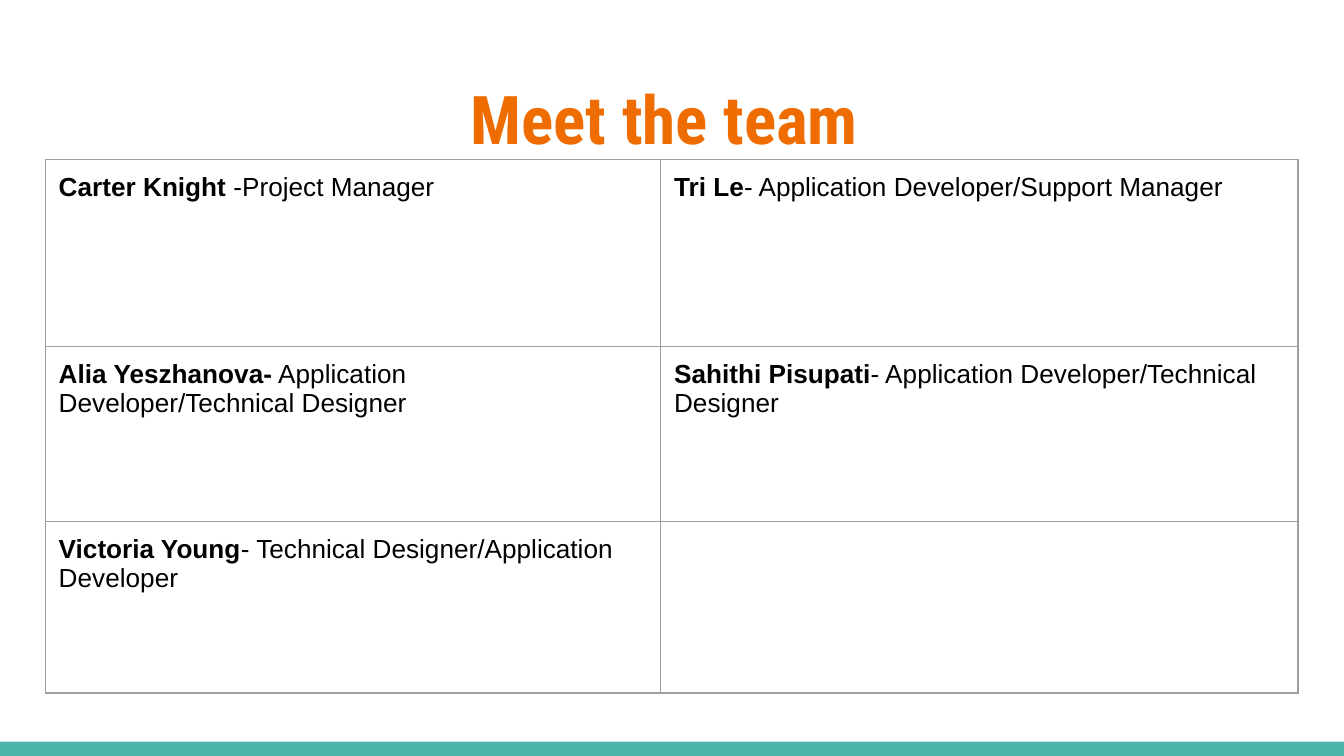
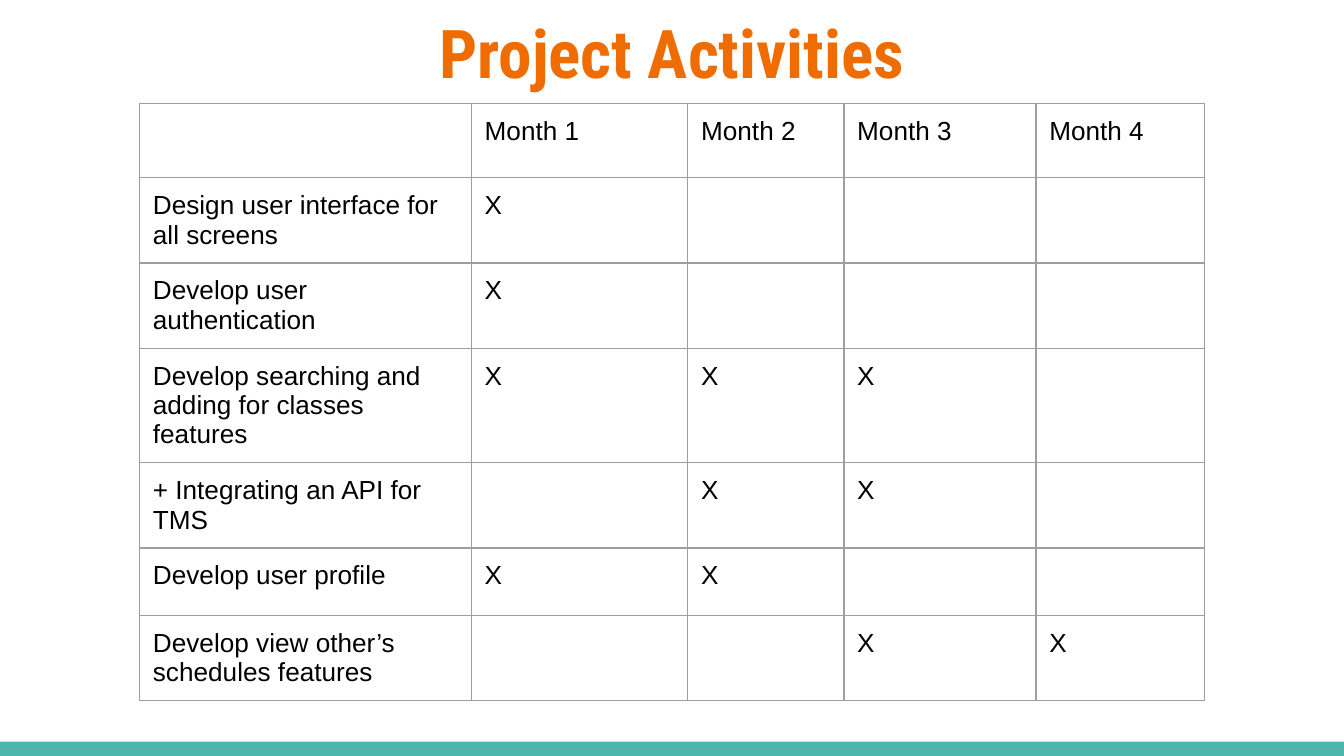
from lxml import etree
from pptx import Presentation
from pptx import util as u
from pptx.dml.color import RGBColor
from pptx.enum import shapes, text
from pptx.oxml.ns import qn

COLORS = {"title": "EF6C00", "band": "4DB6AC", "border": "9E9E9E", "text": "000000"}
WIDTH, HEIGHT = 25.4, 14.29
BAND_HEIGHT = 0.27
SIDE = 0.86
TITLE_HEIGHT = 1.96
PADDING = u.Cm(0.25)
TITLE_FONT = {"name": "Roboto Condensed", "size": u.Pt(36), "bold": True}
CELL_FONT = {"name": "Arial", "size": u.Pt(14)}
MARGINS = dict.fromkeys(("margin_left", "margin_right", "margin_top", "margin_bottom"), PADDING)

TEAM = [
    [("Carter Knight", " -Project Manager"),
     ("Tri Le", "- Application Developer/Support Manager")],
    [("Alia Yeszhanova-", " Application Developer/Technical Designer"),
     ("Sahithi Pisupati", "- Application Developer/Technical Designer")],
    [("Victoria Young", "- Technical Designer/Application Developer"), ("", "")],
]
MONTHS = range(1, 5)
ACTIVITIES = {
    "Design user interface for all screens": {1},
    "Develop user authentication": {1},
    "Develop searching and adding for classes features": {1, 2, 3},
    "+ Integrating an API for TMS": {2, 3},
    "Develop user profile": {1, 2},
    "Develop view other’s schedules features": {3, 4},
}


def apply_format(target, values):
    for name, value in values.items():
        setattr(target, name, value)


def add_run(paragraph, words, font, color):
    run = paragraph.add_run()
    run.text = words
    apply_format(run.font, font)
    run.font.color.rgb = RGBColor.from_string(COLORS[color])


def add_layout_band(slide):
    band = slide.shapes.add_shape(
        shapes.MSO_SHAPE.RECTANGLE,
        u.Cm(0), u.Cm(HEIGHT - BAND_HEIGHT), u.Cm(WIDTH), u.Cm(BAND_HEIGHT))
    band.shadow.inherit = False
    band.fill.solid()
    band.fill.fore_color.rgb = RGBColor.from_string(COLORS["band"])
    band.line.fill.background()
    slide.slide_layout.shapes.element.append(band.element)


def set_title(slide, words, top):
    title = slide.shapes.title
    apply_format(title, {"left": u.Cm(SIDE), "top": u.Cm(top),
                         "width": u.Cm(WIDTH - 2 * SIDE), "height": u.Cm(TITLE_HEIGHT)})
    apply_format(title.text_frame, {**MARGINS, "word_wrap": True,
                                    "auto_size": text.MSO_AUTO_SIZE.NONE,
                                    "vertical_anchor": text.MSO_ANCHOR.MIDDLE})
    paragraph = title.text_frame.paragraphs[0]
    paragraph.alignment = text.PP_ALIGN.CENTER
    add_run(paragraph, words, TITLE_FONT, "title")


def set_borders(cell):
    properties = cell._tc.get_or_add_tcPr()
    for index, side in enumerate(("lnL", "lnR", "lnT", "lnB")):
        line = etree.Element(qn(f"a:{side}"), w=str(u.Pt(0.75)))
        fill = etree.SubElement(line, qn("a:solidFill"))
        etree.SubElement(fill, qn("a:srgbClr"), val=COLORS["border"])
        properties.insert(index, line)


def fill_cell(cell, bold_words, plain_words):
    apply_format(cell, MARGINS)
    cell.fill.background()
    set_borders(cell)
    paragraph = cell.text_frame.paragraphs[0]
    for words, bold in ((bold_words, True), (plain_words, False)):
        if words:
            add_run(paragraph, words, {**CELL_FONT, "bold": bold}, "text")


def add_grid(slide, left, top, widths, heights, rows):
    frame = slide.shapes.add_table(
        len(heights), len(widths), u.Cm(left), u.Cm(top),
        u.Cm(sum(widths)), u.Cm(sum(heights)))
    table = frame.table
    apply_format(table, {"first_row": False, "horz_banding": False})
    for column, width in zip(table.columns, widths):
        column.width = u.Cm(width)
    for row, height, contents in zip(table.rows, heights, rows):
        row.height = u.Cm(height)
        for cell, (bold_words, plain_words) in zip(row.cells, contents):
            fill_cell(cell, bold_words, plain_words)


def activity_rows():
    yield [("", "")] + [("", f"Month {month}") for month in MONTHS]
    for activity, active in ACTIVITIES.items():
        yield [("", activity)] + [("", "X" if month in active else "") for month in MONTHS]


def main():
    presentation = Presentation()
    presentation.slide_width = u.Cm(WIDTH)
    presentation.slide_height = u.Cm(HEIGHT)
    layout = presentation.slide_layouts[5]

    team_slide = presentation.slides.add_slide(layout)
    add_layout_band(team_slide)
    set_title(team_slide, "Meet the team ", 1.24)
    add_grid(team_slide, SIDE, 3.02, [11.63, 12.04], [3.53, 3.3, 3.25], TEAM)

    activity_slide = presentation.slides.add_slide(layout)
    set_title(activity_slide, "Project Activities", 0)
    add_grid(activity_slide, 2.64, TITLE_HEIGHT, [6.27, 4.09, 2.95, 3.63, 3.18],
             [1.4] * 2 + [1.07] * 5, activity_rows())

    presentation.save("out.pptx")


if __name__ == "__main__":
    main()
